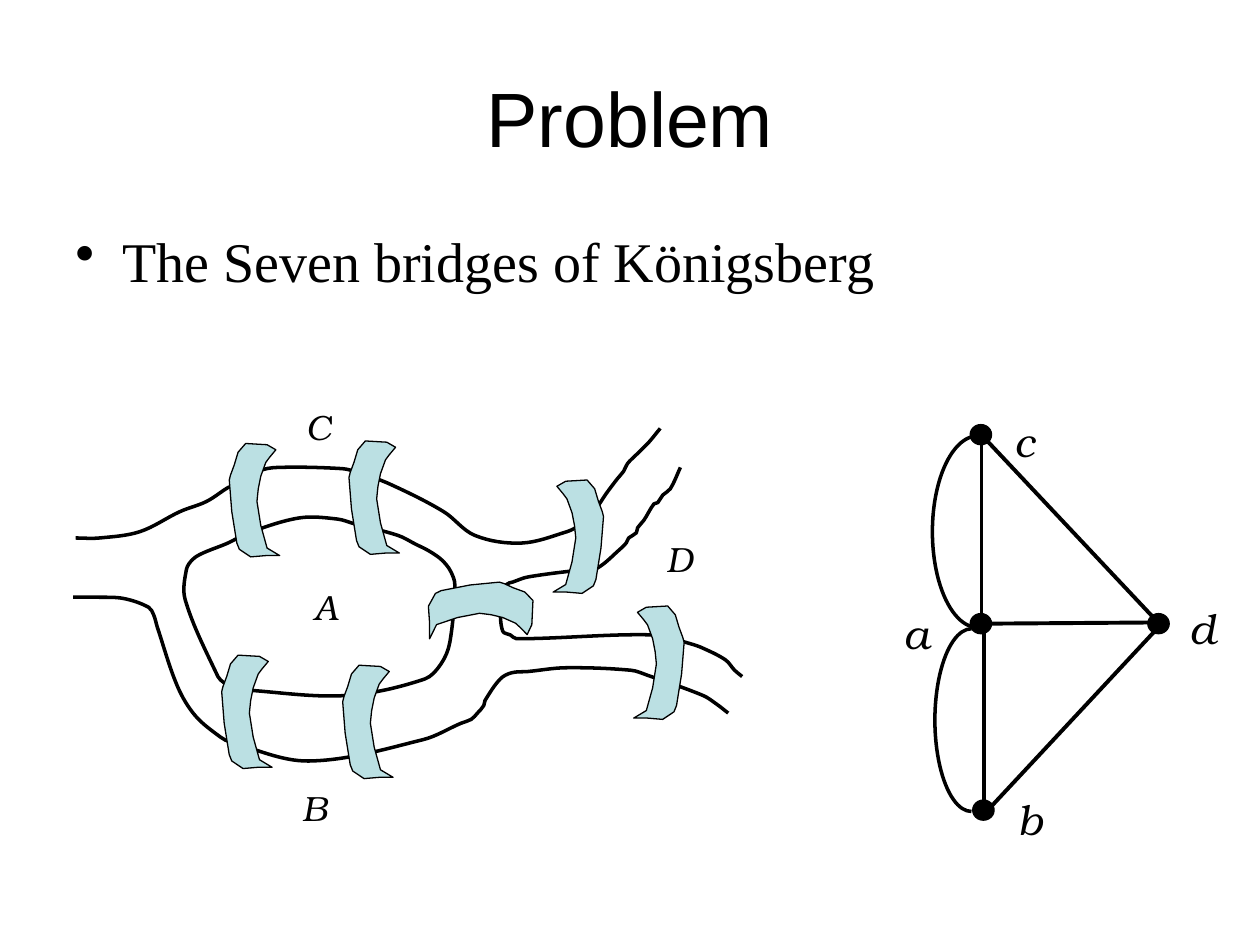
from dataclasses import dataclass
from math import atan2, cos, dist, sin

from lxml.etree import SubElement
from pptx import Presentation
from pptx.dml.color import RGBColor
from pptx.enum.shapes import MSO_CONNECTOR, MSO_SHAPE
from pptx.enum.text import MSO_ANCHOR, PP_ALIGN
from pptx.oxml.ns import qn
from pptx.util import Cm, Pt

BLACK = RGBColor(0x00, 0x00, 0x00)
BRIDGE_BLUE = RGBColor(0xBB, 0xE0, 0xE3)
UNIT = Cm(2.54)
GRID = UNIT / 100
LABEL_FONT = "TeX Gyre Bonum"

Point = tuple[float, float]


@dataclass
class Bridge:
    left: float
    top: float
    width: float = 0.4
    height: float = 0.9
    mirrored: bool = False
    rotation: int = 0


@dataclass
class Label:
    text: str
    left: float
    top: float
    width: float
    height: float
    size: int


@dataclass
class Edge:
    start: Point
    end: Point


@dataclass
class Arc:
    left: float
    top: float
    width: float
    height: float


RIVERS = [
    [(60, 427), (79, 427), (111, 422), (143, 406), (164, 398), (181, 387), (186, 385),
     (205, 374), (220, 371), (272, 372), (284, 375), (309, 384), (352, 406), (377, 425),
     (414, 431), (450, 422), (460, 417), (466, 412), (470, 407), (475, 401), (481, 392),
     (490, 380), (495, 374), (498, 368), (506, 360), (508, 358), (515, 351), (524, 340)],
    [(153, 444), (161, 439), (181, 431), (197, 423), (238, 411), (268, 412), (282, 416),
     (316, 425), (330, 432), (340, 437), (349, 443), (354, 448), (358, 454), (361, 464),
     (357, 510), (350, 527), (337, 539), (275, 552), (200, 548), (184, 545), (178, 542),
     (173, 537), (147, 476), (148, 452), (153, 444)],
    [(58, 474), (77, 474), (98, 475), (118, 482), (122, 488), (125, 498), (141, 545),
     (155, 568), (175, 585), (183, 589), (245, 604), (336, 587), (366, 574), (374, 571),
     (379, 566), (384, 560), (385, 556), (397, 539), (406, 534), (419, 533), (449, 530),
     (501, 532), (514, 536), (558, 552), (569, 559), (578, 566)],
    [(540, 371), (532, 388), (526, 393), (522, 399), (519, 400), (511, 413), (506, 419),
     (505, 423), (499, 427), (497, 431), (492, 436), (474, 451), (464, 452), (419, 458),
     (407, 462), (402, 464), (398, 475), (397, 482), (399, 501), (405, 504), (410, 507),
     (519, 504), (548, 511), (559, 515), (576, 524), (583, 532), (589, 537)],
]
BRIDGE_OUTLINE = [
    (13, 2), (7, 9), (4, 19), (1, 27), (0, 31), (2, 56), (6, 81), (8, 86), (14, 90),
    (17, 92), (29, 91), (40, 91), (30, 85), (25, 67), (22, 48), (23, 38), (25, 28),
    (29, 17), (32, 13), (37, 7), (30, 3), (13, 2),
]
BRIDGES = [
    Bridge(1.82, 3.52),
    Bridge(2.77, 3.5),
    Bridge(1.76, 5.2),
    Bridge(2.72, 5.28),
    Bridge(3.59, 4.43, width=0.45, height=0.83, rotation=90),
    Bridge(4.39, 3.81, mirrored=True),
    Bridge(5.03, 4.81, mirrored=True),
]
LABELS = [
    Label("A", 2.39, 4.6, 0.39, 0.44, 20),
    Label("B", 2.3, 6.19, 0.4, 0.44, 20),
    Label("C", 2.33, 3.17, 0.4, 0.44, 20),
    Label("D", 5.19, 4.22, 0.4, 0.44, 20),
    Label("a", 7.07, 4.77, 0.4, 0.5, 24),
    Label("b", 7.98, 6.25, 0.4, 0.5, 24),
    Label("c", 7.95, 3.25, 0.36, 0.5, 24),
    Label("d", 9.34, 4.73, 0.41, 0.5, 24),
]
EDGES = [
    Edge((7.77, 3.43), (9.2, 4.95)),
    Edge((7.78, 4.95), (9.22, 4.94)),
    Edge((7.81, 6.42), (7.81, 4.94)),
    Edge((7.79, 4.9), (7.79, 3.42)),
    Edge((9.22, 4.95), (7.84, 6.43)),
]
VERTICES = [(7.7, 3.37), (7.7, 4.87), (9.11, 4.87), (7.72, 6.35)]
ARCS = [Arc(7.4, 3.46, 0.72, 1.52), Arc(7.42, 4.99, 0.58, 1.45)]


def scaled(*values: float) -> list[int]:
    return [round(value * UNIT) for value in values]


def apply_format(target, values: dict) -> None:
    for name, value in values.items():
        setattr(target, name, value)


def style_shape(shape, line_width: float, fill: RGBColor | None = None) -> None:
    shape.shadow.inherit = False
    if fill is None:
        shape.fill.background()
    else:
        shape.fill.solid()
        shape.fill.fore_color.rgb = fill
    shape.line.color.rgb = BLACK
    shape.line.width = Pt(line_width)


def add_text(slide, text: str, box: tuple, font: dict, frame: dict):
    text_frame = slide.shapes.add_textbox(*scaled(*box)).text_frame
    apply_format(text_frame, frame)
    paragraph = text_frame.paragraphs[0]
    run = paragraph.add_run()
    run.text = text
    apply_format(run.font, font)
    run.font.color.rgb = BLACK
    return paragraph


def add_outline(slide, points: list[Point]):
    first, *others = [(round(x * GRID), round(y * GRID)) for x, y in points]
    builder = slide.shapes.build_freeform(*first)
    builder.add_line_segments(others, close=False)
    return builder.convert_to_shape()


def direction(points: list[Point], index: int) -> float:
    last = len(points) - 1
    closed = points[0] == points[last]
    before = points[last - 1 if closed and index in (0, last) else max(index - 1, 0)]
    after = points[1 if closed and index == last else min(index + 1, last)]
    return atan2(after[1] - before[1], after[0] - before[0])


def smooth_outline(shape) -> None:
    path = shape.element.find(".//" + qn("a:path"))
    points = [(int(p.get("x")), int(p.get("y"))) for p in path.iter(qn("a:pt"))]
    for segment in path.findall(qn("a:lnTo")):
        path.remove(segment)
    for index, (start, end) in enumerate(zip(points, points[1:])):
        handle = dist(start, end) / 3
        leaving, arriving = direction(points, index), direction(points, index + 1)
        curve = SubElement(path, qn("a:cubicBezTo"))
        for x, y in (
            (start[0] + handle * cos(leaving), start[1] + handle * sin(leaving)),
            (end[0] - handle * cos(arriving), end[1] - handle * sin(arriving)),
            end,
        ):
            SubElement(curve, qn("a:pt"), x=str(round(x)), y=str(round(y)))


def add_river(slide, points: list[Point]) -> None:
    shape = add_outline(slide, points)
    smooth_outline(shape)
    style_shape(shape, 2)


def add_bridge(slide, bridge: Bridge) -> None:
    outline = [(40 - x if bridge.mirrored else x, y) for x, y in BRIDGE_OUTLINE]
    shape = add_outline(slide, outline)
    box = scaled(bridge.left, bridge.top, bridge.width, bridge.height)
    apply_format(shape, dict(zip(("left", "top", "width", "height"), box)))
    shape.rotation = bridge.rotation
    style_shape(shape, 0.75, BRIDGE_BLUE)


def add_label(slide, label: Label) -> None:
    box = (label.left, label.top, label.width, label.height)
    font = {"name": LABEL_FONT, "size": Pt(label.size), "italic": True}
    add_text(slide, label.text, box, font, {"word_wrap": False})


def add_edge(slide, edge: Edge) -> None:
    connector = slide.shapes.add_connector(
        MSO_CONNECTOR.STRAIGHT, *scaled(*edge.start, *edge.end))
    connector.line.color.rgb = BLACK
    connector.line.width = Pt(2.25)
    SubElement(connector.element.spPr, qn("a:effectLst"))


def add_vertex(slide, corner: Point) -> None:
    shape = slide.shapes.add_shape(MSO_SHAPE.OVAL, *scaled(*corner, 0.17, 0.16))
    style_shape(shape, 0.75, BLACK)


def add_arc(slide, arc: Arc) -> None:
    box = scaled(arc.left, arc.top, arc.width, arc.height)
    shape = slide.shapes.add_shape(MSO_SHAPE.ARC, *box)
    shape.adjustments[0] = 90 * 0.6
    shape.adjustments[1] = 270 * 0.6
    style_shape(shape, 2)


def main() -> None:
    presentation = Presentation()
    presentation.slide_width, presentation.slide_height = Cm(25.4), Cm(19.05)
    slide = presentation.slides.add_slide(presentation.slide_layouts[6])

    title = add_text(slide, "Problem", (0.5, 0.3, 9, 1.25),
                     {"name": "Arial", "size": Pt(44)},
                     {"word_wrap": True, "vertical_anchor": MSO_ANCHOR.MIDDLE})
    title.alignment = PP_ALIGN.CENTER
    topic = add_text(slide, "The Seven bridges of Königsberg", (0.5, 1.75, 9, 4.95),
                     {"name": "Times New Roman", "size": Pt(32)}, {"word_wrap": True})
    properties = topic._p.get_or_add_pPr()
    properties.set("marL", str(Cm(0.95)))
    properties.set("indent", str(-Cm(0.95)))
    SubElement(properties, qn("a:buChar"), char="•")

    for draw, items in (
        (add_river, RIVERS), (add_bridge, BRIDGES), (add_edge, EDGES),
        (add_vertex, VERTICES), (add_arc, ARCS), (add_label, LABELS),
    ):
        for item in items:
            draw(slide, item)
    presentation.save("out.pptx")


if __name__ == "__main__":
    main()
